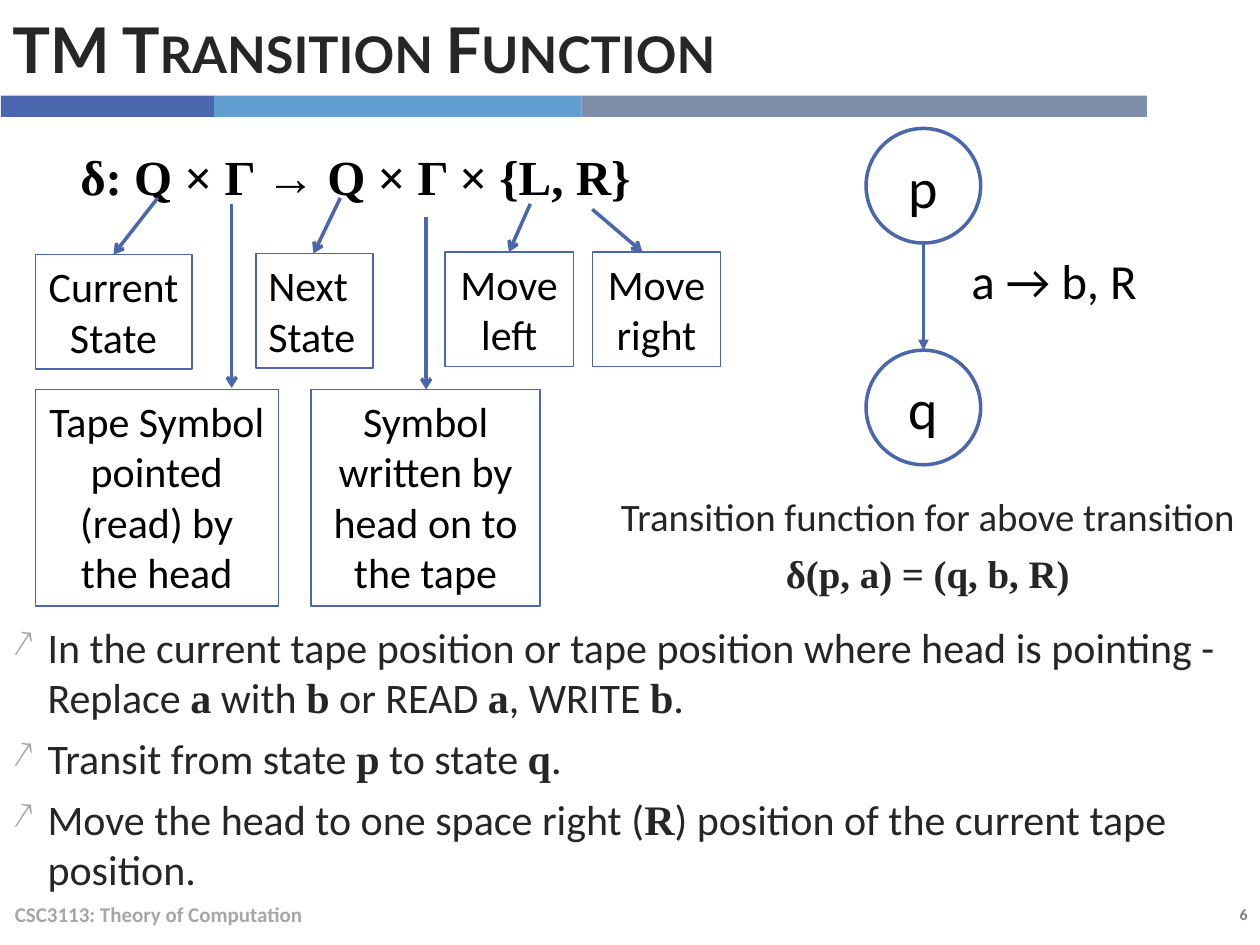
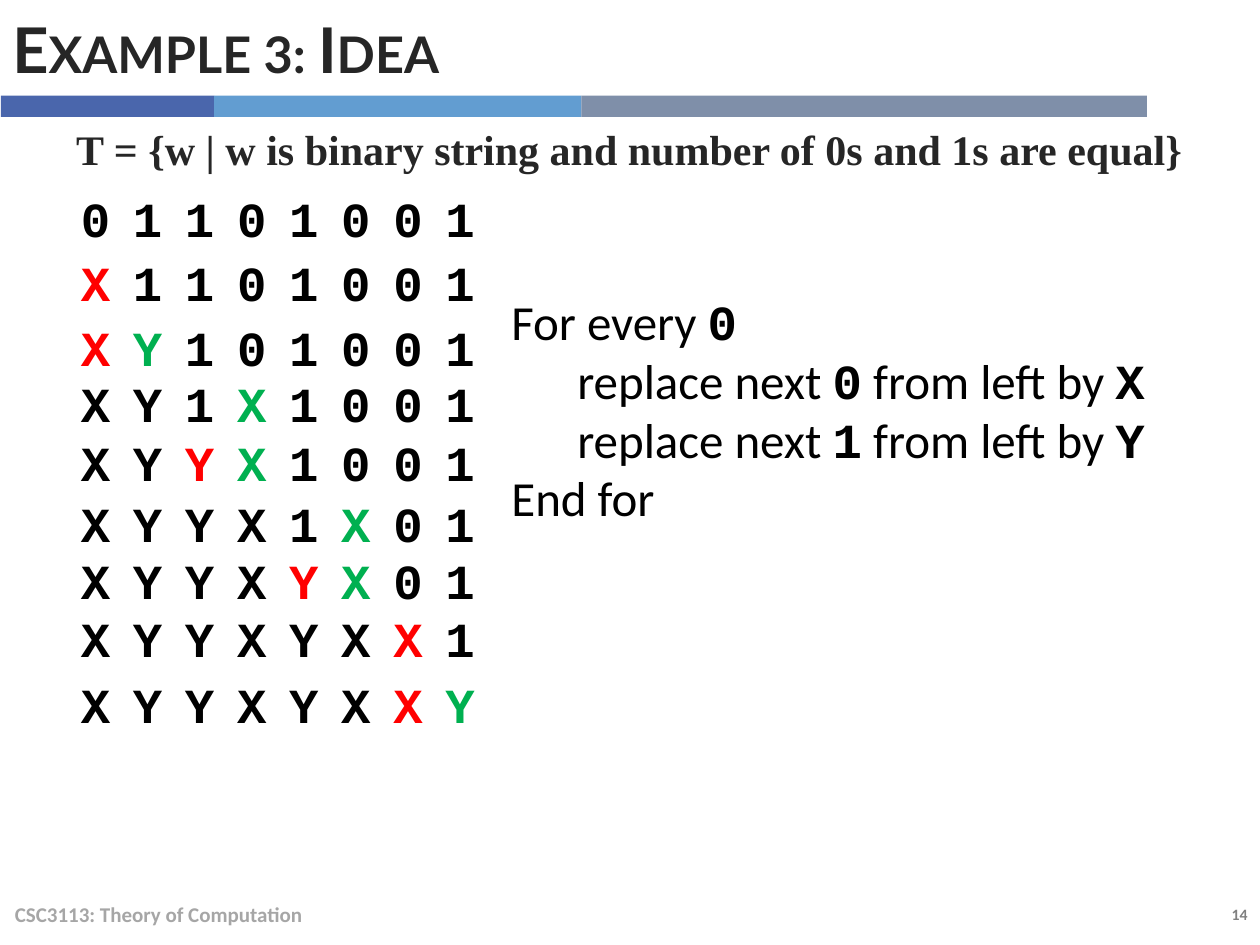
"""Build two lecture slides on Turing machine transitions."""
from lxml import etree
from pptx import Presentation
from pptx import util as u
from pptx.dml.color import RGBColor
from pptx.enum import shapes, text
from pptx.oxml import ns

BLUE = RGBColor(0x4A, 0x66, 0xAC)
SKY = RGBColor(0x62, 0x9D, 0xD1)
SLATE = RGBColor(0x7F, 0x8F, 0xA9)
INK = RGBColor(0x26, 0x26, 0x26)
BLACK = RGBColor(0, 0, 0)
GREY = RGBColor(0x80, 0x80, 0x80)
PALE = RGBColor(0xA6, 0xA6, 0xA6)
RED = RGBColor(0xFF, 0, 0)
GREEN = RGBColor(0, 0xB0, 0x50)
SANS, SERIF, MONO, TITLE = "Calibri", "Times New Roman", "Courier New", "Lato"
LEFT, CENTER, RIGHT = text.PP_ALIGN.LEFT, text.PP_ALIGN.CENTER, text.PP_ALIGN.RIGHT
TOP, MIDDLE = text.MSO_ANCHOR.TOP, text.MSO_ANCHOR.MIDDLE

FOOTER = "CSC3113: Theory of Computation"
BANDS = [(4.3, BLUE), (7.4, SKY), (11.4, SLATE)]

FORMULA = "*δ: Q × Γ → Q × Γ × {L, R}*"
LABELS = [
    ("Current State", (0.71, 5.13, 3.16, 2.31), CENTER),
    ("Tape Symbol pointed (read) by the head", (0.71, 7.85, 4.9, 4.37), CENTER),
    ("Next State", (5.16, 5.11, 2.36, 2.31), LEFT),
    ("Symbol written by head on to the tape", (6.27, 7.85, 4.62, 4.37), CENTER),
    ("Move left", (8.97, 5.08, 2.59, 2.31), CENTER),
    ("Move right", (11.94, 5.08, 2.59, 2.31), CENTER),
]
POINTERS = [
    (3.18, 3.99, 2.29, 5.13),
    (4.67, 4.11, 4.67, 7.82),
    (6.86, 3.99, 6.32, 5.11),
    (8.59, 4.37, 8.59, 7.85),
    (10.69, 4.11, 10.26, 5.08),
    (11.94, 4.22, 12.95, 5.08),
]
STATES = [("p", 2.59), ("q", 7.06)]
STATE_LEFT, STATE_SIZE = 17.46, 2.31
CAPTION = ["Transition function for above transition", "*δ(p, a) = (q, b, R)*"]
STEPS = [
    "In the current tape position or tape position where head is pointing - "
    "Replace *a* with *b* or READ *a*, WRITE *b*.",
    "Transit from state *p* to state *q*.",
    "Move the head to one space right (*R*) position of the current tape position.",
]

LANGUAGE = "*T = {w | w is binary string and number of 0s and 1s are equal}*"
MARKS = {"-": BLACK, "r": RED, "g": GREEN}
TAPES = [
    (3.94, "01101001", "--------"),
    (5.23, "X1101001", "r-------"),
    (6.53, "XY101001", "rg------"),
    (7.65, "XY1X1001", "---g----"),
    (8.84, "XYYX1001", "--rg----"),
    (10.08, "XYYX1X01", "-----g--"),
    (11.23, "XYYXYX01", "----rg--"),
    (12.4, "XYYXYXX1", "------r-"),
    (13.72, "XYYXYXXY", "------rg"),
]
TAPE_LEFT, CELL_WIDTH, CELL_HEIGHT = 1.4, 1.05, 1.19
LOOP = [
    (0, "For every *0*"),
    (1.33, "replace next *0* from left by *X*"),
    (1.33, "replace next *1* from left by *Y*"),
    (0, "End for"),
]


def lengths(values):
    return [u.Cm(value) for value in values]


def add_span(para, words, font, size, colour, bold=False):
    span = para.add_run()
    span.text = words
    span.font.name, span.font.size, span.font.bold = font, u.Pt(size), bold
    span.font.color.rgb = colour
    return span


def write(box, lines, size, colour=BLACK, align=LEFT, anchor=TOP,
          before=0, bold=False, strong=SERIF):
    """Write lines in which asterisks enclose bold words in the strong font."""
    frame = box.text_frame
    frame.word_wrap, frame.vertical_anchor = True, anchor
    for number, line in enumerate(lines):
        para = frame.add_paragraph() if number else frame.paragraphs[0]
        para.alignment, para.space_before = align, u.Pt(before)
        for index, words in enumerate(line.split("*")):
            marked = index % 2 == 1
            if words:
                add_span(para, words, strong if marked else SANS, size, colour, bold or marked)
    return frame


def add_text(page, place, lines, size, **style):
    return write(page.shapes.add_textbox(*lengths(place)), lines, size, **style)


def add_outline(page, kind, place, width):
    shape = page.shapes.add_shape(kind, *lengths(place))
    shape.shadow.inherit = False
    shape.fill.background()
    shape.line.color.rgb, shape.line.width = BLUE, u.Pt(width)
    return shape


def add_arrow(page, ends, head="arrow"):
    arrow = page.shapes.add_connector(shapes.MSO_CONNECTOR.STRAIGHT, *lengths(ends))
    arrow.line.color.rgb, arrow.line.width = BLUE, u.Pt(2)
    etree.SubElement(arrow.line._get_or_add_ln(), ns.qn("a:tailEnd"), type=head)
    etree.SubElement(arrow._element.spPr, ns.qn("a:effectLst"))


def indent(para, left, hanging=0):
    props = para._p.get_or_add_pPr()
    props.set("marL", str(u.Cm(left)))
    props.set("indent", str(-u.Cm(hanging)))
    return props


def add_bullet(para):
    props = indent(para, 0.71, 0.71)
    colour = etree.SubElement(props, ns.qn("a:buClr"))
    etree.SubElement(colour, ns.qn("a:srgbClr"), val=str(PALE))
    etree.SubElement(props, ns.qn("a:buSzPct"), val="90000")
    etree.SubElement(props, ns.qn("a:buChar"), char="↗")


def add_page(deck, title, number):
    page = deck.slides.add_slide(deck.slide_layouts[6])
    left = 0.02
    for width, colour in BANDS:
        band = page.shapes.add_shape(
            shapes.MSO_SHAPE.RECTANGLE, *lengths((left, 1.93, width, 0.43)))
        band.shadow.inherit = False
        band.fill.solid()
        band.fill.fore_color.rgb = colour
        band.line.fill.background()
        left += width
    add_text(page, (22.17, 18.11, 3.23, 0.64), [number], 9, colour=GREY, align=RIGHT, bold=True)
    add_text(page, (0.05, 17.91, 17.02, 1.02), [FOOTER], 12, colour=PALE, anchor=MIDDLE, bold=True)
    heading = page.shapes.add_textbox(*lengths((0, 0, 23.11, 1.93))).text_frame
    heading.word_wrap, heading.vertical_anchor = True, MIDDLE
    para = heading.paragraphs[0]
    para.space_before = u.Pt(6)
    span = add_span(para, title, TITLE, 36, INK, True)
    span._r.get_or_add_rPr().set("cap", "small")
    return page


def add_tape(page, top, symbols, marks):
    place = (TAPE_LEFT, top, CELL_WIDTH * len(symbols), CELL_HEIGHT)
    table = page.shapes.add_table(1, len(symbols), *lengths(place)).table
    table.first_row = table.horz_banding = False
    for column, (symbol, mark) in enumerate(zip(symbols, marks)):
        table.columns[column].width = u.Cm(CELL_WIDTH)
        cell = table.cell(0, column)
        cell.fill.background()
        cell.vertical_anchor = MIDDLE
        cell.margin_left = cell.margin_right = cell.margin_top = cell.margin_bottom = 0
        para = cell.text_frame.paragraphs[0]
        para.alignment = CENTER
        add_span(para, symbol, MONO, 28, MARKS[mark], True)


def build_function_page(deck):
    page = add_page(deck, "TM Transition Function", "6")
    steps = add_text(page, (0, 12.4, 25.37, 5.49), STEPS, 24, colour=INK, before=6)
    for para in steps.paragraphs:
        add_bullet(para)
    add_text(page, (1.37, 2.82, 11.86, 1.45), [FORMULA], 28)
    for words, place, align in LABELS:
        box = add_outline(page, shapes.MSO_SHAPE.RECTANGLE, place, 0.75)
        write(box, [words], 24, align=align)
    for ends in POINTERS:
        add_arrow(page, ends)
    add_text(page, (12.01, 9.8, 13.39, 2.41), CAPTION, 22.2, colour=INK, align=CENTER, before=6)
    for name, top in STATES:
        place = (STATE_LEFT, top, STATE_SIZE, STATE_SIZE)
        circle = add_outline(page, shapes.MSO_SHAPE.OVAL, place, 2)
        write(circle, [name], 32, align=CENTER, anchor=MIDDLE)
    middle = STATE_LEFT + STATE_SIZE / 2
    add_arrow(page, (middle, STATES[0][1] + STATE_SIZE, middle, STATES[1][1]), "triangle")
    add_text(page, (19.08, 4.72, 4.34, 1.85), ["a → b, R"], 28, align=CENTER, anchor=MIDDLE)


def build_example_page(deck):
    page = add_page(deck, "Example 3: Idea", "14")
    add_text(page, (0, 2.36, 25.37, 15.52), [LANGUAGE], 24, colour=INK, align=CENTER, before=6)
    for tape in TAPES:
        add_tape(page, *tape)
    lines = [line for _, line in LOOP]
    loop = add_text(page, (10.06, 5.75, 14.35, 5.04), lines, 28, strong=MONO)
    for para, (left, _) in zip(loop.paragraphs, LOOP):
        indent(para, left)


def main():
    deck = Presentation()
    deck.slide_width, deck.slide_height = u.Cm(25.4), u.Cm(19.05)
    build_function_page(deck)
    build_example_page(deck)
    deck.save("out.pptx")


main()
